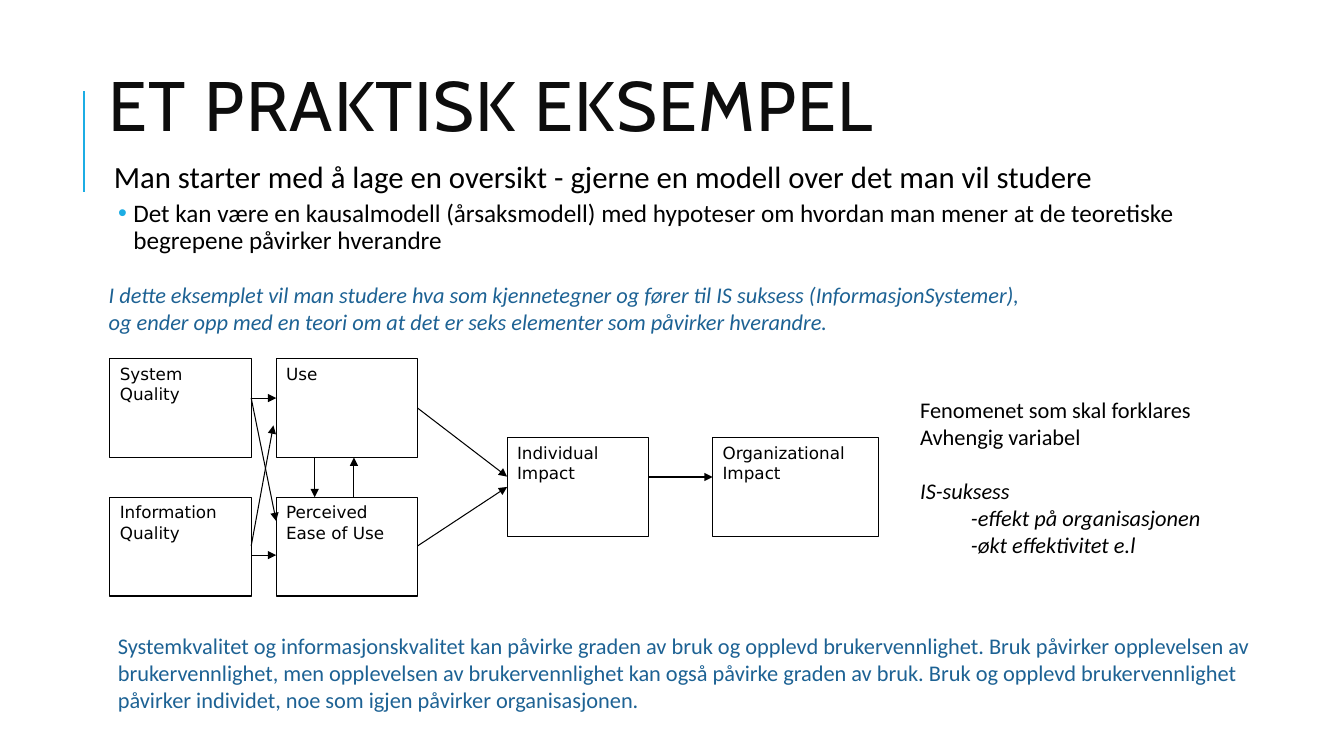
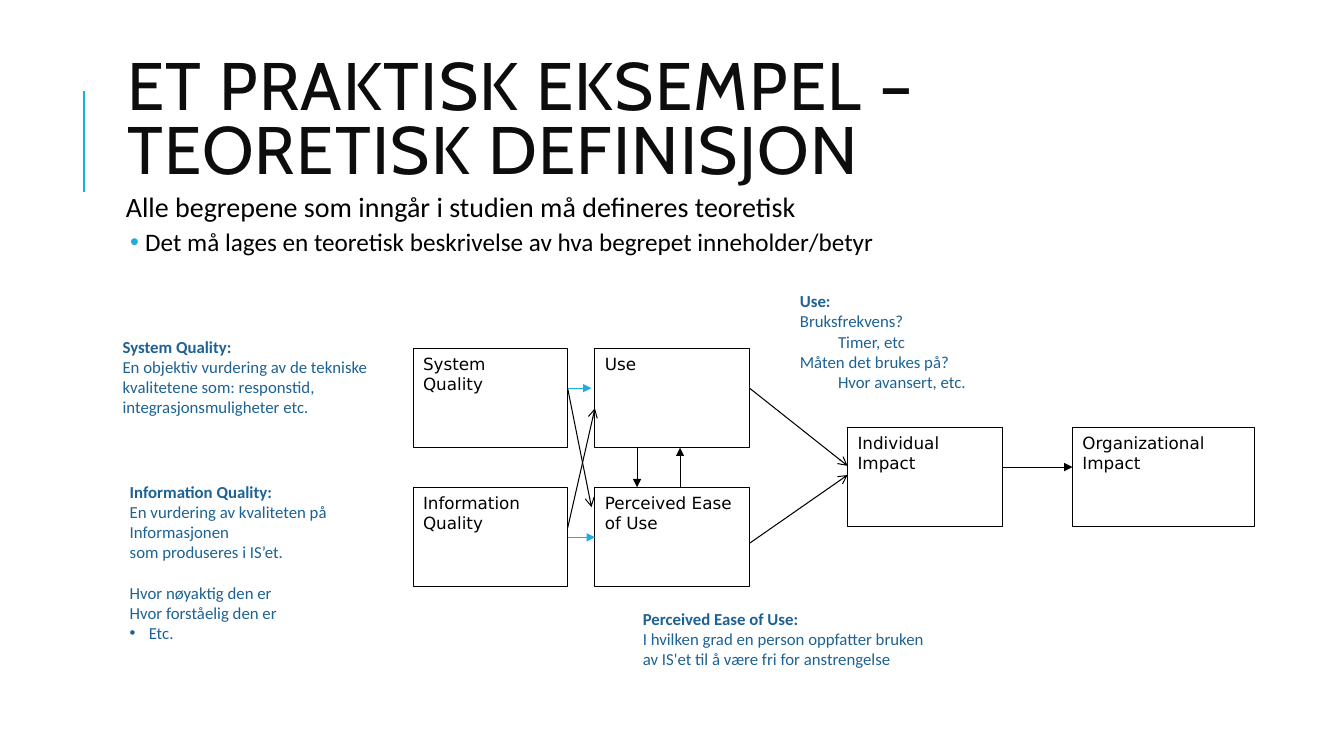
from lxml.etree import SubElement
from pptx import Presentation
from pptx.dml.color import RGBColor
from pptx.enum.shapes import MSO_CONNECTOR, MSO_SHAPE
from pptx.enum.text import MSO_ANCHOR, MSO_AUTO_SIZE, PP_ALIGN
from pptx.oxml.ns import qn
from pptx.util import Cm, Pt

BLACK, WHITE, TITLE_INK, BLUE, ACCENT = "000000", "FFFFFF", "0D0D0D", "1D6294", "1CADE4"
HEADING_FONT, BODY_FONT, MODEL_FONT = "Cabin", "Calibri", "DejaVu Sans"

BOX_WIDTH, BOX_HEIGHT = 3.56, 2.49
COLUMNS = (0, 4.19, 10.01, 15.19)
TOP_ROW, MIDDLE_ROW, BOTTOM_ROW = 0, 1.98, 3.49
BOXES = (
    (COLUMNS[0], TOP_ROW, BOX_WIDTH, ("System", "Quality")),
    (COLUMNS[0], BOTTOM_ROW, BOX_WIDTH, ("Information", "Quality")),
    (COLUMNS[1], BOTTOM_ROW, BOX_WIDTH, ("Perceived Ease of Use",)),
    (COLUMNS[1], TOP_ROW, BOX_WIDTH, ("Use",)),
    (COLUMNS[2], MIDDLE_ROW, BOX_WIDTH, ("Individual", "Impact")),
    (COLUMNS[3], MIDDLE_ROW, 4.19, ("Organizational", "Impact")),
)
SHARED_LINKS = (
    (5.16, BOX_HEIGHT, 5.16, BOTTOM_ROW),
    (6.15, BOTTOM_ROW, 6.15, BOX_HEIGHT),
    (COLUMNS[2] + BOX_WIDTH, 2.98, COLUMNS[3], 2.98),
)


def color(value):
    return RGBColor.from_string(value)


def add_text(frame, text, size=16, font=BODY_FONT, ink=BLACK, bold=False, italic=False,
             level=0, spacing=1.0, before=0, after=0, tracking=0,
             margin=0, hanging=0, bullet=None, bullet_ink=None):
    paragraph = frame.add_paragraph() if frame.text else frame.paragraphs[0]
    paragraph.level = level
    paragraph.alignment = PP_ALIGN.LEFT
    paragraph.line_spacing = spacing
    paragraph.space_before, paragraph.space_after = Pt(before), Pt(after)
    run = paragraph.add_run()
    run.text = text
    run.font.size, run.font.name = Pt(size), font
    run.font.bold, run.font.italic = bold, italic
    run.font.color.rgb = color(ink)
    if tracking:
        run._r.get_or_add_rPr().set("spc", str(tracking * 100))
    properties = paragraph._p.get_or_add_pPr()
    properties.set("marL", str(Cm(margin)))
    properties.set("indent", str(-Cm(hanging)))
    if bullet:
        bullet_color = SubElement(properties, qn("a:buClr"))
        SubElement(bullet_color, qn("a:srgbClr"), val=bullet_ink or ink)
        SubElement(properties, qn("a:buFont"), typeface="Arial")
        SubElement(properties, qn("a:buChar"), char=bullet)
    else:
        SubElement(properties, qn("a:buNone"))


class Deck:
    """Builds slides that share one style, keeping track of the current slide."""

    def __init__(self):
        self.presentation = Presentation()
        self.presentation.slide_width = Cm(33.87)
        self.presentation.slide_height = Cm(19.05)
        self.slide = None

    def start_slide(self):
        layout = self.presentation.slide_layouts[1]
        self.slide = self.presentation.slides.add_slide(layout)
        self.line(2.11, 4.83, 2.11, 2.29, ink=ACCENT, width=1.5)

    def place(self, shape, area, anchor=MSO_ANCHOR.TOP):
        shape.left, shape.top, shape.width, shape.height = map(Cm, area)
        frame = shape.text_frame
        frame.word_wrap = True
        frame.auto_size = MSO_AUTO_SIZE.NONE
        frame.vertical_anchor = anchor
        return frame

    def title(self, area, text, size):
        frame = self.place(self.slide.shapes.title, area, MSO_ANCHOR.MIDDLE)
        add_text(frame, text, size=size, font=HEADING_FONT, ink=TITLE_INK,
                 spacing=0.8, tracking=1)

    def body(self, area, lead, point, lead_size):
        frame = self.place(self.slide.placeholders[1], area)
        frame.margin_left = frame.margin_right = Cm(0.13)
        frame.margin_top = frame.margin_bottom = Cm(0.13)
        add_text(frame, lead, size=lead_size, spacing=0.9, before=12, after=2, margin=0.25)
        add_text(frame, point, size=18, level=1, spacing=0.9, before=2, after=4,
                 margin=0.74, hanging=0.38, bullet="•", bullet_ink=ACCENT)

    def note(self, area, lines, **style):
        shape = self.slide.shapes.add_textbox(*map(Cm, area))
        frame = self.place(shape, area)
        for text, extra in lines:
            add_text(frame, text, **{**style, **extra})

    def definition(self, area, term, lines):
        self.note(area, [(term, {"bold": True}), *lines], size=12, ink=BLUE)

    def box(self, area, lines):
        shape = self.slide.shapes.add_shape(MSO_SHAPE.RECTANGLE, *map(Cm, area))
        shape.shadow.inherit = False
        shape.fill.solid()
        shape.fill.fore_color.rgb = color(WHITE)
        shape.line.color.rgb = color(BLACK)
        shape.line.width = Pt(0.75)
        frame = self.place(shape, area)
        for text in lines:
            add_text(frame, text, size=12, font=MODEL_FONT)

    def line(self, x1, y1, x2, y2, ink=BLACK, width=0.75, head=None):
        connector = self.slide.shapes.add_connector(
            MSO_CONNECTOR.STRAIGHT, Cm(x1), Cm(y1), Cm(x2), Cm(y2))
        connector.line.color.rgb = color(ink)
        connector.line.width = Pt(width)
        properties = connector._element.spPr
        if head:
            SubElement(properties.find(qn("a:ln")), qn("a:tailEnd"), type=head)
        SubElement(properties, qn("a:effectLst"))

    def model(self, left, top, links, stretch=1.0):
        for x, y, width, lines in BOXES:
            self.box((left + x * stretch, top + y, width * stretch, BOX_HEIGHT), lines)
        shared = [(link, "triangle", BLACK) for link in SHARED_LINKS]
        for (x1, y1, x2, y2), head, ink in shared + links:
            self.line(left + x1 * stretch, top + y1, left + x2 * stretch, top + y2,
                      ink=ink, head=head)

    def save(self):
        self.presentation.save("out.pptx")


def build_overview(deck):
    deck.start_slide()
    deck.title((2.49, 0.97, 23.88, 3.66), "ET PRAKTISK EKSEMPEL", 50)
    deck.body((2.49, 3.94, 30.07, 3.4),
              "Man starter med å lage en oversikt - gjerne en modell over det man vil studere",
              "Det kan være en kausalmodell (årsaksmodell) med hypoteser om hvordan man mener "
              "at de teoretiske begrepene påvirker hverandre", 22)
    deck.note((2.49, 6.96, 29.67, 2.31), [
        ("I dette eksemplet vil man studere hva som kjennetegner og fører til IS suksess "
         "(InformasjonSystemer),", {}),
        ("og ender opp med en teori om at det er seks elementer som påvirker hverandre.", {}),
    ], ink=BLUE, italic=True)
    deck.note((22.94, 9.86, 8.38, 4.45), [
        ("Fenomenet som skal forklares", {}),
        ("Avhengig variabel", {}),
        ("IS-suksess", {"italic": True, "before": 19.5}),
        ("-effekt på organisasjonen", {"italic": True, "margin": 1.28}),
        ("-økt effektivitet e.l", {"italic": True, "margin": 1.28}),
    ])
    deck.note((2.72, 15.8, 29.21, 2.31), [
        ("Systemkvalitet og informasjonskvalitet kan påvirke graden av bruk og opplevd "
         "brukervennlighet. Bruk påvirker opplevelsen av brukervennlighet, men opplevelsen av "
         "brukervennlighet kan også påvirke graden av bruk. Bruk og opplevd brukervennlighet "
         "påvirker individet, noe som igjen påvirker organisasjonen.", {}),
    ], ink=BLUE)
    links = (
        (3.56, 0.99, 4.19, 0.99),
        (3.56, 4.95, 4.19, 4.95),
        (3.56, 0.99, 4.19, 4.09),
        (3.56, 4.72, 4.12, 1.68),
        (7.75, 1.24, 10.01, 2.97),
        (7.75, 4.72, 10.01, 3.23),
    )
    deck.model(2.77, 9.04, [(link, "triangle", BLACK) for link in links])


def build_definitions(deck):
    deck.start_slide()
    deck.title((2.95, 1.02, 27, 4.17), "ET PRAKTISK EKSEMPEL – TEORETISK DEFINISJON", 48)
    deck.body((2.79, 4.75, 24.18, 2.51),
              "Alle begrepene som inngår i studien må defineres teoretisk",
              "Det må lages en teoretisk beskrivelse av hva begrepet inneholder/betyr", 20)
    deck.model(10.41, 8.79, [
        ((3.56, 0.99, 4.11, 3.99), "arrow", BLACK),
        ((3.56, 4.52, 4.19, 1.5), "arrow", BLACK),
        ((7.75, 0.99, 10.01, 2.95), "arrow", BLACK),
        ((7.75, 4.9, 10.01, 3.18), "arrow", BLACK),
        ((3.56, 0.99, 4.11, 0.99), "triangle", ACCENT),
        ((3.56, 4.75, 4.19, 4.75), "triangle", ACCENT),
    ], stretch=1.094)
    deck.definition((2.84, 8.36, 7.44, 2.82), "System Quality:", [
        ("En objektiv vurdering av de tekniske kvalitetene som: responstid, "
         "integrasjonsmuligheter etc.", {}),
    ])
    deck.definition((3.02, 12.01, 5.74, 4.88), "Information Quality:", [
        ("En vurdering av kvaliteten på Informasjonen", {}),
        ("som produseres i IS’et.", {}),
        ("Hvor nøyaktig den er", {"before": 14.6}),
        ("Hvor forståelig den er", {}),
        ("Etc.", {"margin": 0.48, "hanging": 0.48, "bullet": "•"}),
    ])
    deck.definition((15.95, 15.21, 8.53, 1.8), "Perceived Ease of Use:", [
        ("I hvilken grad en person oppfatter bruken", {}),
        ("av IS'et til å være fri for anstrengelse", {}),
    ])
    deck.definition((19.91, 7.21, 8.53, 2.82), "Use:", [
        ("Bruksfrekvens?", {}),
        ("Timer, etc", {"margin": 0.96}),
        ("Måten det brukes på?", {}),
        ("Hvor avansert, etc.", {"margin": 0.96}),
    ])


def main():
    deck = Deck()
    build_overview(deck)
    build_definitions(deck)
    deck.save()


if __name__ == "__main__":
    main()
